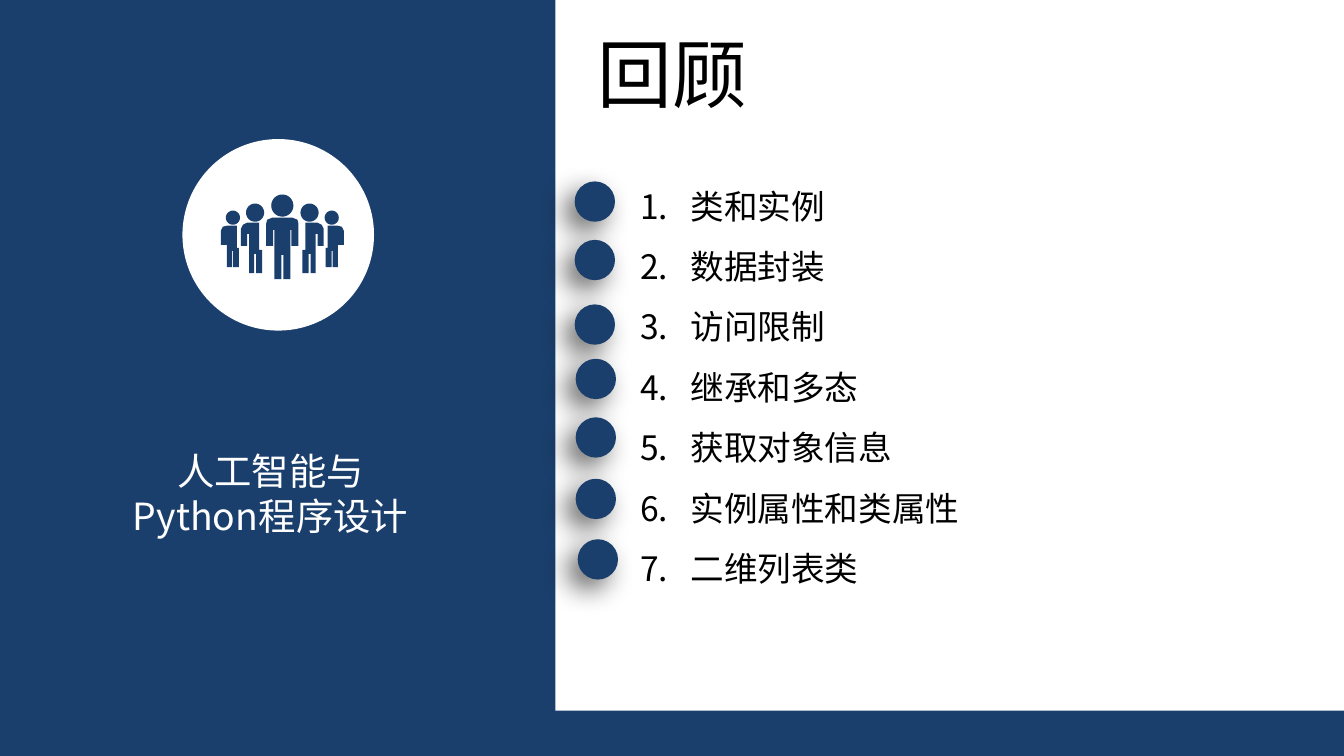
from dataclasses import dataclass
from math import cos, pi, sin

from lxml.etree import SubElement
from pptx import Presentation
from pptx.dml.color import RGBColor
from pptx.enum.shapes import MSO_SHAPE as Preset
from pptx.enum.text import MSO_ANCHOR as Anchor, MSO_AUTO_SIZE as AutoSize, PP_ALIGN as Align
from pptx.oxml.ns import qn
from pptx.util import Inches, Pt


@dataclass(frozen=True)
class Theme:
    navy: RGBColor = RGBColor(0x1A, 0x3F, 0x6C)
    white: RGBColor = RGBColor(0xFF, 0xFF, 0xFF)
    black: RGBColor = RGBColor(0, 0, 0)
    font: str = "Noto Sans CJK SC"
    title_size: float = 53.3
    course_size: float = 26.7
    topic_size: float = 24


TOPICS = ["类和实例", "数据封装", "访问限制", "继承和多态", "获取对象信息", "实例属性和类属性", "二维列表类"]
DOTS = [(5.7, 1.8), (5.7, 2.38), (5.7, 3.02), (5.71, 3.56), (5.71, 4.14), (5.71, 4.75), (5.73, 5.35)]

ICON_AXIS = 2.8
HEADS = [(0, 2.04, 0.11), (0.27, 2.11, 0.09), (0.49, 2.16, 0.07)]
LEADER_HALF = [
    (0.01, 2.53), (0.01, 2.77), (0.08, 2.77), (0.08, 2.28), (0.09, 2.28), (0.09, 2.44),
    (0.16, 2.44), (0.16, 2.22), (0.15, 2.18), (0.1, 2.16),
]
MIDDLE_BODY = [
    (0.2, 2.48), (0.2, 2.71), (0.26, 2.71), (0.26, 2.52), (0.28, 2.52), (0.28, 2.71),
    (0.33, 2.71), (0.33, 2.32), (0.35, 2.32), (0.35, 2.44), (0.41, 2.44), (0.41, 2.27),
    (0.39, 2.23), (0.35, 2.21), (0.23, 2.21), (0.23, 2.48),
]
OUTER_BODY = [
    (0.43, 2.46), (0.43, 2.65), (0.49, 2.65), (0.49, 2.49), (0.5, 2.49), (0.5, 2.65),
    (0.55, 2.65), (0.55, 2.43), (0.61, 2.43), (0.61, 2.29), (0.59, 2.25), (0.55, 2.24),
    (0.45, 2.24), (0.45, 2.46),
]


def mirror(outline):
    return [(-x, y) for x, y in outline]


def head_outline(x, y, radius, steps=32):
    angles = [2 * pi * step / steps for step in range(steps)]
    return [(x + radius * cos(angle), y + radius * sin(angle)) for angle in angles]


def people_outlines():
    leader = LEADER_HALF + mirror(LEADER_HALF)[::-1]
    center, *sides = [head_outline(*head) for head in HEADS]
    sides += [MIDDLE_BODY, OUTER_BODY]
    return [center, leader] + sides + [mirror(side) for side in sides]


class SlideBuilder:
    """Draws styled elements on the current slide."""

    def __init__(self, slide, theme):
        self.slide = slide
        self.theme = theme

    def paint(self, shape, color):
        shape.fill.solid()
        shape.fill.fore_color.rgb = color
        shape.line.fill.background()
        shape.shadow.inherit = False
        return shape

    def block(self, preset, left, top, width, height, color):
        box = [Inches(value) for value in (left, top, width, height)]
        return self.paint(self.slide.shapes.add_shape(preset, *box), color)

    def dot(self, left, top):
        shape = self.block(Preset.OVAL, left, top, 0.4, 0.4, self.theme.navy)
        effects = shape._element.spPr.find(qn("a:effectLst"))
        shadow = SubElement(effects, qn("a:outerShdw"), blurRad=str(Pt(20)), dist=str(Pt(10)),
                            dir=str(135 * 60000), algn="tr", rotWithShape="0")
        color = SubElement(shadow, qn("a:srgbClr"), val=str(self.theme.black))
        SubElement(color, qn("a:alpha"), val="60000")

    def icon(self, outlines, axis):
        contours = [[(Inches(axis + x), Inches(y)) for x, y in outline] for outline in outlines]
        builder = self.slide.shapes.build_freeform(*contours[0][0], scale=1.0)
        for index, points in enumerate(contours):
            if index:
                builder.move_to(*points[0])
            builder.add_line_segments(points[1:], close=True)
        self.paint(builder.convert_to_shape(), self.theme.navy)

    def frame(self, shape, wrap, margins=(0.1, 0.05)):
        frame = shape.text_frame
        frame.word_wrap = wrap
        frame.auto_size = AutoSize.NONE
        frame.vertical_anchor = Anchor.TOP
        frame.margin_left = frame.margin_right = Inches(margins[0])
        frame.margin_top = frame.margin_bottom = Inches(margins[1])
        return frame

    def fill_lines(self, frame, lines, size, color, align=Align.LEFT, spacing=1.0, numbered=False):
        for index, line in enumerate(lines):
            paragraph = frame.add_paragraph() if index else frame.paragraphs[0]
            paragraph.alignment = align
            paragraph.line_spacing = spacing
            paragraph.space_before = Pt(0)
            if numbered:
                self.number(paragraph)
            run = paragraph.add_run()
            run.text = line
            font = run.font
            font.size, font.name = Pt(size), self.theme.font
            font.color.rgb = color
            SubElement(run._r.get_or_add_rPr(), qn("a:ea"), typeface=self.theme.font)

    def number(self, paragraph):
        properties = paragraph._p.get_or_add_pPr()
        properties.set("marL", str(Inches(0.5)))
        properties.set("indent", str(Inches(-0.5)))
        SubElement(properties, qn("a:buFont"), typeface=self.theme.font)
        SubElement(properties, qn("a:buAutoNum"), type="arabicPeriod")

    def title(self, text, left, top, width, height):
        shape = self.slide.shapes.title
        shape.left, shape.top = Inches(left), Inches(top)
        shape.width, shape.height = Inches(width), Inches(height)
        self.fill_lines(self.frame(shape, False), [text], self.theme.title_size, self.theme.black)

    def text(self, lines, left, top, width, height, size, color, wrap=True, margins=(0.1, 0.05), **style):
        box = [Inches(value) for value in (left, top, width, height)]
        shape = self.slide.shapes.add_textbox(*box)
        self.fill_lines(self.frame(shape, wrap, margins), lines, size, color, **style)


def main():
    presentation = Presentation()
    presentation.slide_width, presentation.slide_height = Inches(13.33), Inches(7.5)
    theme = Theme()
    builder = SlideBuilder(presentation.slides.add_slide(presentation.slide_layouts[5]), theme)

    builder.block(Preset.RECTANGLE, 0, 7.05, 13.33, 0.45, theme.navy)
    builder.block(Preset.RECTANGLE, 0, 0, 5.51, 7.5, theme.navy)
    builder.title("回顾", 5.83, 0.23, 1.7, 1)
    builder.text(["人工智能与", "Python程序设计"], 0.72, 4.45, 3.93, 0.9,
                 theme.course_size, theme.white, margins=(0, 0), align=Align.CENTER)
    builder.block(Preset.OVAL, 1.81, 1.38, 1.9, 1.9, theme.white)
    builder.icon(people_outlines(), ICON_AXIS)
    builder.text(TOPICS, 6.25, 1.59, 3.4, 4.88, theme.topic_size, theme.black,
                 wrap=False, spacing=1.5, numbered=True)
    for left, top in DOTS:
        builder.dot(left, top)

    presentation.save("out.pptx")


if __name__ == "__main__":
    main()
